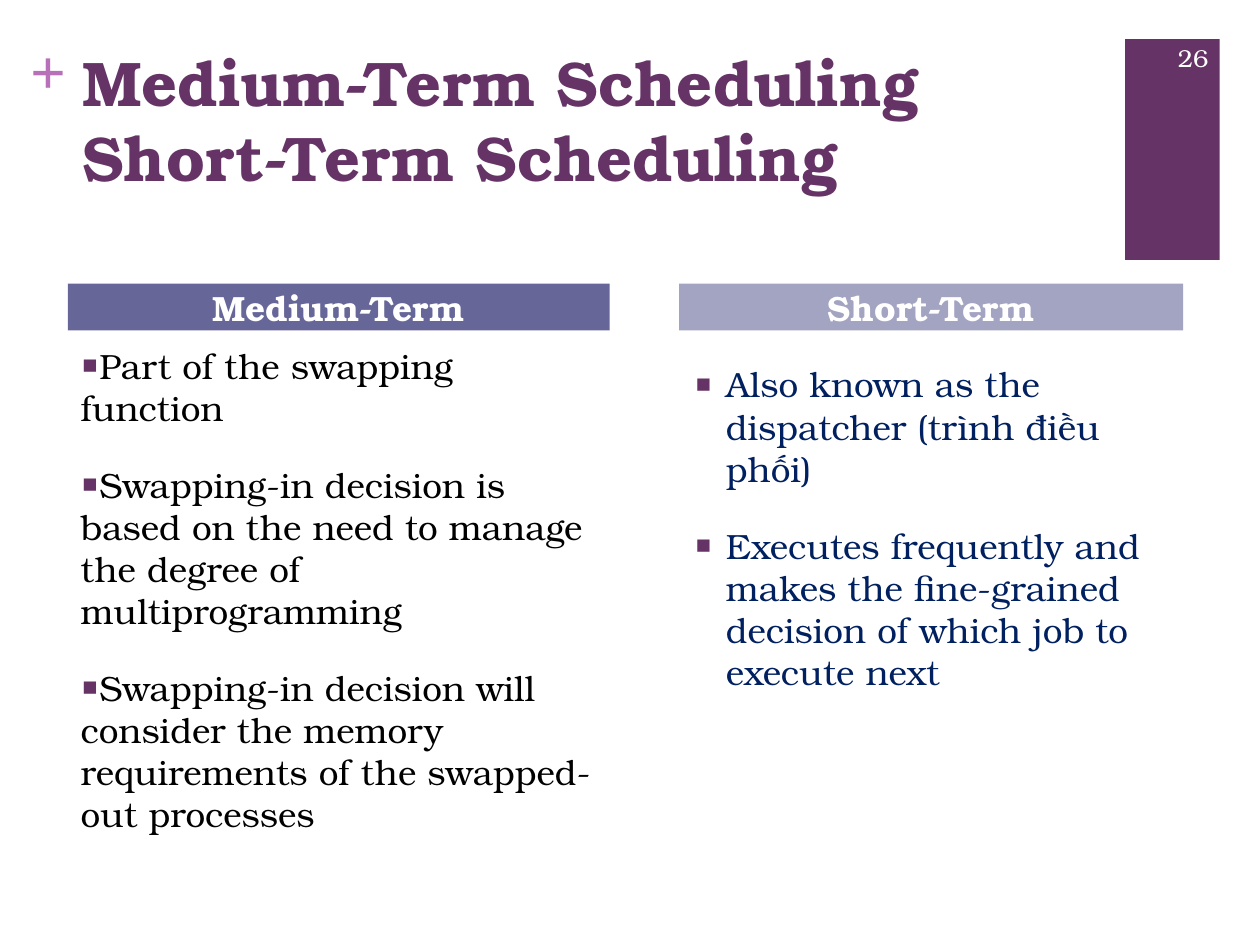
import pptx
import pptx.dml.color
import pptx.enum.shapes
import pptx.enum.text
import pptx.oxml
import pptx.oxml.ns
import pptx.util
from pptx.util import Cm, Pt

RGBColor = pptx.dml.color.RGBColor
ALIGN = pptx.enum.text.PP_ALIGN
ANCHOR = pptx.enum.text.MSO_ANCHOR

PLUM = RGBColor(0x66, 0x33, 0x66)
ORCHID = RGBColor(0xB8, 0x70, 0xB8)
SLATE = RGBColor(0x66, 0x66, 0x99)
LAVENDER = RGBColor(0xA3, 0xA3, 0xC2)
NAVY = RGBColor(0x00, 0x20, 0x60)
BLACK = RGBColor(0x00, 0x00, 0x00)
WHITE = RGBColor(0xFF, 0xFF, 0xFF)
FONT = "TeX Gyre Bonum"

MEDIUM_TERM = [
    "Part of the swapping function",
    "Swapping-in decision is based on the need to manage the degree of multiprogramming",
    "Swapping-in decision will consider the memory requirements of the swapped-out processes",
]
SHORT_TERM = [
    "Also known as the dispatcher (trình điều phối)",
    "Executes frequently and makes the fine-grained decision of which job to execute next",
]


def place(box, left, top, width, height):
    box.left, box.top, box.width, box.height = Cm(left), Cm(top), Cm(width), Cm(height)


def fill_text(box, lines, size, color, bold=False, align=ALIGN.LEFT,
              anchor=ANCHOR.TOP, font=FONT):
    """Write one paragraph per line and format them all alike."""
    frame = box.text_frame
    frame.word_wrap = True
    frame.auto_size = pptx.enum.text.MSO_AUTO_SIZE.NONE
    frame.vertical_anchor = anchor
    for index, line in enumerate(lines):
        para = frame.paragraphs[0] if index == 0 else frame.add_paragraph()
        para.text = line
        para.alignment = align
        para.space_before = Pt(20 if index else 0)
        para.font.name = font
        para.font.size = Pt(size)
        para.font.bold = bold
        para.font.color.rgb = color


def add_bullets(box, indent):
    """Give every paragraph a small square bullet with a hanging indent."""
    namespace = pptx.oxml.ns.nsdecls("a")
    for para in box.text_frame.paragraphs:
        properties = para._p.get_or_add_pPr()
        properties.set("marL", str(Cm(indent)))
        properties.set("indent", str(-Cm(0.64)))
        for markup in (
            f'<a:buClr {namespace}><a:srgbClr val="{PLUM}"/></a:buClr>',
            f'<a:buSzPct {namespace} val="75000"/>',
            f'<a:buFont {namespace} typeface="{FONT}"/>',
            f'<a:buChar {namespace} char="■"/>',
        ):
            properties.append(pptx.oxml.parse_xml(markup))


def format_heading(box, text, color):
    box.fill.solid()
    box.fill.fore_color.rgb = color
    fill_text(box, [text], 20, WHITE, True, ALIGN.CENTER, ANCHOR.MIDDLE)
    box.text_frame.margin_top = box.text_frame.margin_bottom = 0


def add_panel(page):
    panel = page.shapes.add_shape(
        pptx.enum.shapes.MSO_SHAPE.RECTANGLE, Cm(22.68), Cm(0.79), Cm(1.91), Cm(4.45))
    panel.shadow.inherit = False
    panel.fill.solid()
    panel.fill.fore_color.rgb = PLUM
    panel.line.fill.background()


def add_label(page, text, place_at, **style):
    box = page.shapes.add_textbox(0, 0, 0, 0)
    place(box, *place_at)
    fill_text(box, [text], **style)
    return box


def main():
    deck = pptx.Presentation()
    deck.slide_width, deck.slide_height = Cm(25.4), Cm(19.05)
    page = deck.slides.add_slide(deck.slide_layouts.get_by_name("Comparison"))
    title, left_heading, left_list, right_heading, right_list = page.placeholders

    # Corner panel and plus sign
    add_panel(page)
    plus = add_label(page, "+", (0.61, 0.64, 0.74, 1.55), size=36, color=ORCHID,
                     bold=True, font="Times New Roman")
    frame = plus.text_frame
    frame.margin_left = frame.margin_right = frame.margin_top = frame.margin_bottom = 0

    # Title
    place(title, 1.4, 0.74, 20.98, 4.19)
    fill_text(title, ["Medium-Term Scheduling\vShort-Term Scheduling"], 36, PLUM, True)

    # Medium-term column
    place(left_heading, 1.37, 5.72, 10.92, 0.94)
    format_heading(left_heading, "Medium-Term", SLATE)
    place(left_list, 1.37, 6.81, 10.92, 10.21)
    fill_text(left_list, MEDIUM_TERM, 20, BLACK)
    add_bullets(left_list, 0)

    # Short-term column
    place(right_heading, 13.69, 5.72, 10.16, 0.94)
    format_heading(right_heading, "Short-Term", LAVENDER)
    place(right_list, 13.74, 7.19, 10.16, 10.21)
    fill_text(right_list, SHORT_TERM, 20, NAVY)
    add_bullets(right_list, 0.64)

    # Page number
    add_label(page, "26", (23.06, 0.66, 1.55, 1.02), size=14, color=WHITE,
              align=ALIGN.RIGHT, anchor=ANCHOR.MIDDLE)

    deck.save("out.pptx")


if __name__ == "__main__":
    main()
